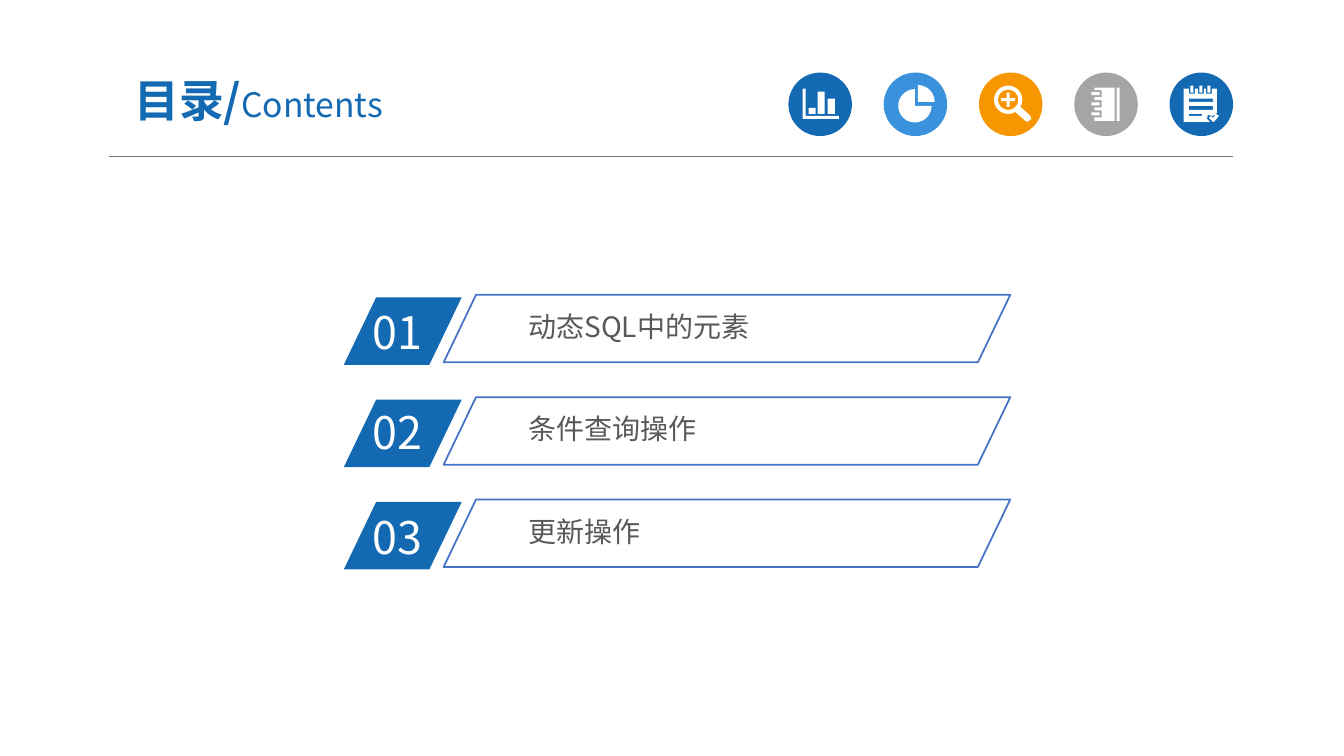
import math

import pptx
import pptx.dml.color
import pptx.enum.shapes
import pptx.enum.text
import pptx.oxml.ns
import pptx.util
from lxml import etree

FONT = "Noto Sans CJK SC"
BLUE, SKY, AMBER, GREY, WHITE = "1369B2", "3992DB", "F79600", "A5A5A5", "FFFFFF"
EDGE, INK, RULE = "4472C4", "595959", "767676"
COLS, ROWS = 1333, 750
KIND = pptx.enum.shapes.MSO_SHAPE
FIT = pptx.enum.text.MSO_AUTO_SIZE
ANCHOR = pptx.enum.text.MSO_ANCHOR
ALIGN = pptx.enum.text.PP_ALIGN


def tint(code):
    return pptx.dml.color.RGBColor.from_string(code)


def unit(n):
    return pptx.util.Inches(n / 100)


def rect(x1, y1, x2, y2):
    return [(x1, y1), (x2, y1), (x2, y2), (x1, y2)]


def arc(x, y, r, a=0, b=360):
    turns = [math.radians(a + (b - a) * i / 40) for i in range(41)]
    return [(x + r * math.cos(t), y + r * math.sin(t)) for t in turns]


def bars():
    axis = [(14, 16), (17, 16), (17, 43), (50, 43), (50, 46), (14, 46)]
    return [axis] + [rect(x, y, x + 7, 41) for x, y in ((20, 35), (29, 19), (39, 26))]


def pie():
    return [arc(34, 29, 16.5, -90, 0) + [(34, 29)], arc(31, 33, 16.5, 0, 270) + [(31, 33)]]


def lens():
    x, y, a, b = 29, 27, 7, 1.5
    body = arc(x, y, 14, 60, 390) + [(51, 43), (52, 46), (48, 49), (46, 48)]
    plus = [(-b, -a), (b, -a), (b, -b), (a, -b), (a, b), (b, b),
            (b, a), (-b, a), (-b, b), (-a, b), (-a, -b), (-b, -b)]
    return [body, arc(x, y, 10), [(x + p, y + q) for p, q in plus]]


def book():
    rings = (41, 31, 21)
    cover = [(20, 15), (40, 15), (40, 48), (20, 48)]
    for y in rings:
        cover += [(20, y + 3.5), (27, y + 3.5), (27, y - 3.5), (20, y - 3.5)]
    return [cover, rect(42, 15, 45, 48)] + [rect(17, y - 1.5, 25, y + 1.5) for y in rings]


def note():
    rings = (22, 31, 39)
    page = [(14, 16)]
    for x in rings:
        page += [(x - 3, 16), (x - 3, 21), (x + 3, 21), (x + 3, 16)]
    page += [(47, 16), (47, 40), (43, 43), (38, 42), (37, 46), (40, 49), (14, 49)]
    tick = [(39, 45), (41, 43), (43, 45), (46, 41), (49, 43), (44, 49), (43, 49)]
    lines = [rect(19, 26, 43, 29), rect(19, 33, 43, 37), rect(19, 41, 32, 43)]
    return [page, tick] + lines + [rect(x - 1.5, 13, x + 1.5, 20) for x in rings]


class Deck:
    """Holds the style and the current slide on a grid of 1333 columns by 750 rows."""

    def __init__(self):
        self.file = pptx.Presentation()
        self.file.slide_width, self.file.slide_height = unit(COLS), unit(ROWS)
        self.slide = self.file.slides.add_slide(self.file.slide_layouts[5])
        self.shapes = self.slide.shapes

    def words(self, frame, runs, side, top, **form):
        form = {"word_wrap": True, "auto_size": FIT.NONE,
                "margin_left": unit(side), "margin_right": unit(side),
                "margin_top": unit(top), "margin_bottom": unit(top), **form}
        for key, value in form.items():
            setattr(frame, key, value)
        for text, size, code, bold in runs:
            run = frame.paragraphs[0].add_run()
            run.text = text
            look = {"name": FONT, "size": pptx.util.Pt(size), "bold": bold}
            for key, value in look.items():
                setattr(run.font, key, value)
            run.font.color.rgb = tint(code)
            east = etree.SubElement(run.font._element, pptx.oxml.ns.qn("a:ea"))
            east.set("typeface", FONT)

    def title(self, box, runs):
        head = self.shapes.title
        for key, value in zip(("left", "top", "width", "height"), box):
            setattr(head, key, unit(value))
        self.words(head.text_frame, runs, 13, 7, vertical_anchor=ANCHOR.MIDDLE)
        head.text_frame.paragraphs[0].alignment = ALIGN.CENTER

    def label(self, box, text, size, code, side=10, top=5):
        frame = self.shapes.add_textbox(*map(unit, box)).text_frame
        runs = [(text, size, code, False)]
        self.words(frame, runs, side, top, auto_size=FIT.SHAPE_TO_FIT_TEXT)

    def paint(self, shape, fill=None, line=None):
        shape.shadow.inherit = False
        if fill:
            shape.fill.solid()
            shape.fill.fore_color.rgb = tint(fill)
        else:
            shape.fill.background()
        if line:
            shape.line.color.rgb = tint(line)
            shape.line.width = pptx.util.Pt(1.25)
        else:
            shape.line.fill.background()

    def block(self, kind, box, fill=None, line=None, slant=None):
        shape = self.shapes.add_shape(kind, *map(unit, box))
        if slant:
            shape.adjustments[0] = slant
        self.paint(shape, fill, line)

    def icon(self, x, y, loops):
        pen = None
        for loop in loops:
            dots = [(p * 10, q * 10) for p, q in loop]
            if pen is None:
                pen = self.shapes.build_freeform(*dots[0], scale=914.4)
            else:
                pen.move_to(*dots[0])
            pen.add_line_segments(dots[1:], close=True)
        self.paint(pen.convert_to_shape(unit(x), unit(y)), WHITE)

    def rule(self, x1, x2, y):
        kind = pptx.enum.shapes.MSO_CONNECTOR.STRAIGHT
        line = self.shapes.add_connector(kind, unit(x1), unit(y), unit(x2), unit(y))
        line.line.color.rgb = tint(RULE)
        line.line.width = pptx.util.Pt(0.5)
        etree.SubElement(line._element.spPr, pptx.oxml.ns.qn("a:effectLst"))


def main():
    deck = Deck()
    deck.rule(108, 1223, 155)
    badges = ((BLUE, bars), (SKY, pie), (AMBER, lens), (GREY, book), (BLUE, note))
    for i, (code, draw) in enumerate(badges):
        x = 782 + 94.5 * i
        deck.block(KIND.OVAL, (x, 72, 63, 63), fill=code)
        deck.icon(x, 72, draw())
    deck.title((92, 63, 329, 72), [("目录/", 32, BLUE, True), ("Contents", 24, BLUE, False)])
    topics = (("动态SQL中的元素", 2), ("条件查询操作", 0), ("更新操作", 3))
    for i, (text, drop) in enumerate(topics):
        y = 295 + 101.5 * i
        deck.block(KIND.PARALLELOGRAM, (341, y, 117, 67), fill=BLUE, slant=0.48)
        deck.label((360, y + drop, 112, 64), f"{i + 1:02}", 32, WHITE)
        deck.label((517, y + 8, 412, 41), text, 20, INK, 7, 4)
        deck.block(KIND.PARALLELOGRAM, (440, y - 2.5, 562, 67), line=EDGE, slant=0.48)
    deck.file.save("out.pptx")


if __name__ == "__main__":
    main()
